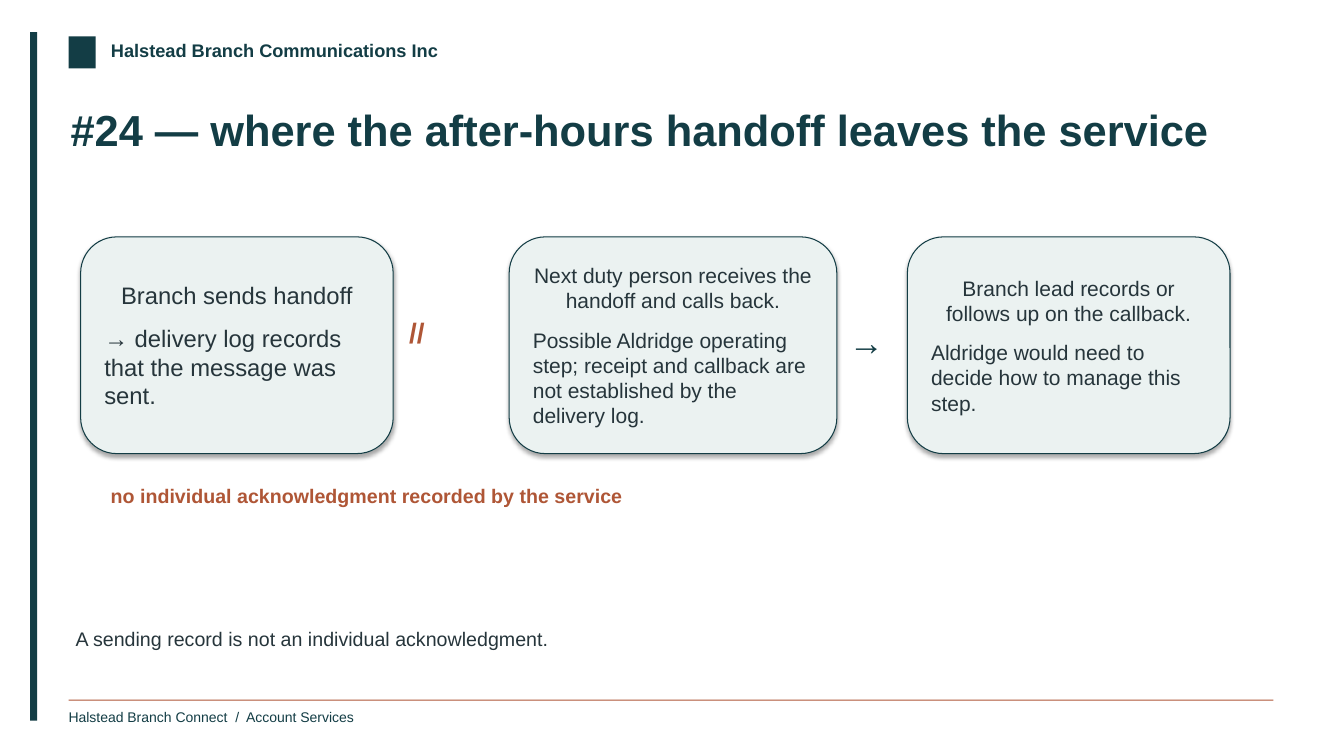
"""Build the slide on where the after-hours handoff leaves the service."""
from pptx import Presentation
from pptx.dml.color import RGBColor
from pptx.enum.shapes import MSO_SHAPE
from pptx.enum.text import MSO_ANCHOR, MSO_AUTO_SIZE, PP_ALIGN
from pptx.util import Inches, Pt

RECT, ROUNDED = MSO_SHAPE.RECTANGLE, MSO_SHAPE.ROUNDED_RECTANGLE
TOP, MIDDLE = MSO_ANCHOR.TOP, MSO_ANCHOR.MIDDLE
LEFT, CENTER = PP_ALIGN.LEFT, PP_ALIGN.CENTER
NO_FIT = MSO_AUTO_SIZE.NONE

TEAL = RGBColor(0x13, 0x3D, 0x45)
RUST = RGBColor(0xAF, 0x56, 0x36)
INK = RGBColor(0x26, 0x35, 0x3B)
MIST = RGBColor(0xEB, 0xF2, 0xF1)

FONT = "Arial"
CARD_TOP, CARD_HEIGHT = 2.35, 2.15
CARDS = [
    (0.8, 3.1, 17, "Branch sends handoff",
     "→ delivery log records that the message was sent."),
    (5.05, 3.25, 15, "Next duty person receives the handoff and calls back.",
     "Possible Aldridge operating step; receipt and callback are "
     "not established by the delivery log."),
    (9, 3.2, 15, "Branch lead records or follows up on the callback.",
     "Aldridge would need to decide how to manage this step."),
]


def set_frame(tf, inset_x, inset_y, anchor=TOP, wrap=True):
    tf.auto_size = NO_FIT
    tf.word_wrap = wrap
    tf.vertical_anchor = anchor
    tf.margin_left = tf.margin_right = Inches(inset_x)
    tf.margin_top = tf.margin_bottom = Inches(inset_y)


def write(p, text, size, color, bold=False, align=LEFT):
    p.alignment = align
    p.space_after = Pt(10)
    r = p.add_run()
    r.text = text
    r.font.name = FONT
    r.font.size = Pt(size)
    r.font.bold = bold
    r.font.color.rgb = color


def add_block(s, x, y, w, h, color):
    sp = s.shapes.add_shape(RECT, Inches(x), Inches(y), Inches(w), Inches(h))
    sp.shadow.inherit = False
    sp.fill.solid()
    sp.fill.fore_color.rgb = color
    sp.line.fill.background()


def add_text(s, x, y, w, h, text, size, color, bold=False,
             inset=(0, 0), wrap=True):
    sp = s.shapes.add_textbox(Inches(x), Inches(y), Inches(w), Inches(h))
    set_frame(sp.text_frame, *inset, wrap=wrap)
    write(sp.text_frame.paragraphs[0], text, size, color, bold)


def add_card(s, x, w, size, heading, detail):
    sp = s.shapes.add_shape(ROUNDED, Inches(x), Inches(CARD_TOP),
                            Inches(w), Inches(CARD_HEIGHT))
    sp.fill.solid()
    sp.fill.fore_color.rgb = MIST
    sp.line.color.rgb = TEAL
    sp.line.width = Pt(0.75)
    tf = sp.text_frame
    set_frame(tf, 0.13, 0.05, MIDDLE)
    write(tf.paragraphs[0], heading, size, INK, align=CENTER)
    write(tf.add_paragraph(), detail, size, INK)


def add_title(s, text):
    sp = s.shapes.title
    sp.left, sp.top = Inches(0.7), Inches(1.02)
    sp.width, sp.height = Inches(11.9), Inches(0.86)
    set_frame(sp.text_frame, 0, 0)
    write(sp.text_frame.paragraphs[0], text, 31, TEAL, True)


def add_branding(s):
    add_block(s, 0.3, 0.32, 0.07, 6.83, TEAL)
    add_block(s, 0.68, 0.36, 0.27, 0.32, TEAL)
    add_text(s, 1.1, 0.39, 3.55, 0.27, "Halstead Branch Communications Inc",
             13, TEAL, True, wrap=False)
    add_block(s, 0.68, 6.94, 11.95, 0.01, RUST)
    add_text(s, 0.68, 7.03, 2.6, 0.23,
             "Halstead Branch Connect  /  Account Services",
             10, TEAL, wrap=False)


def main():
    prs = Presentation()
    prs.slide_width, prs.slide_height = Inches(13.33), Inches(7.5)
    s = prs.slides.add_slide(prs.slide_layouts[5])
    add_branding(s)
    add_title(s, "#24 — where the after-hours handoff leaves the service")
    for card in CARDS:
        add_card(s, *card)
    inset = (0.1, 0.05)
    add_text(s, 3.96, 3.08, 0.8, 0.5, "//", 20, RUST, True, inset)
    add_text(s, 8.32, 3.13, 0.66, 0.5, "→", 25, TEAL, True, inset)
    add_text(s, 1, 4.75, 7.2, 0.5,
             "no individual acknowledgment recorded by the service",
             14, RUST, True, inset)
    add_text(s, 0.75, 6.22, 11.82, 0.44,
             "A sending record is not an individual acknowledgment.", 14, INK)
    prs.save("out.pptx")


if __name__ == "__main__":
    main()
